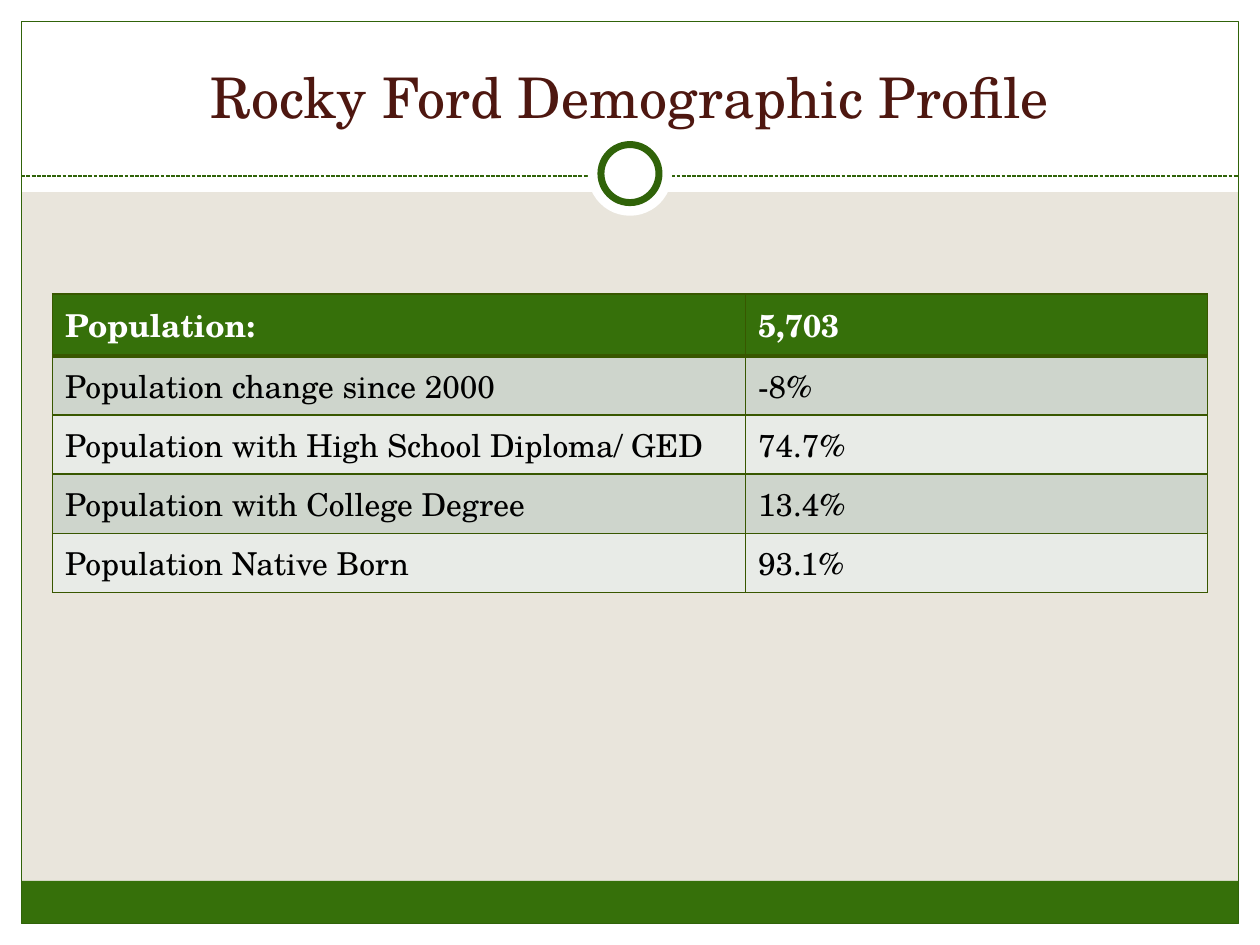
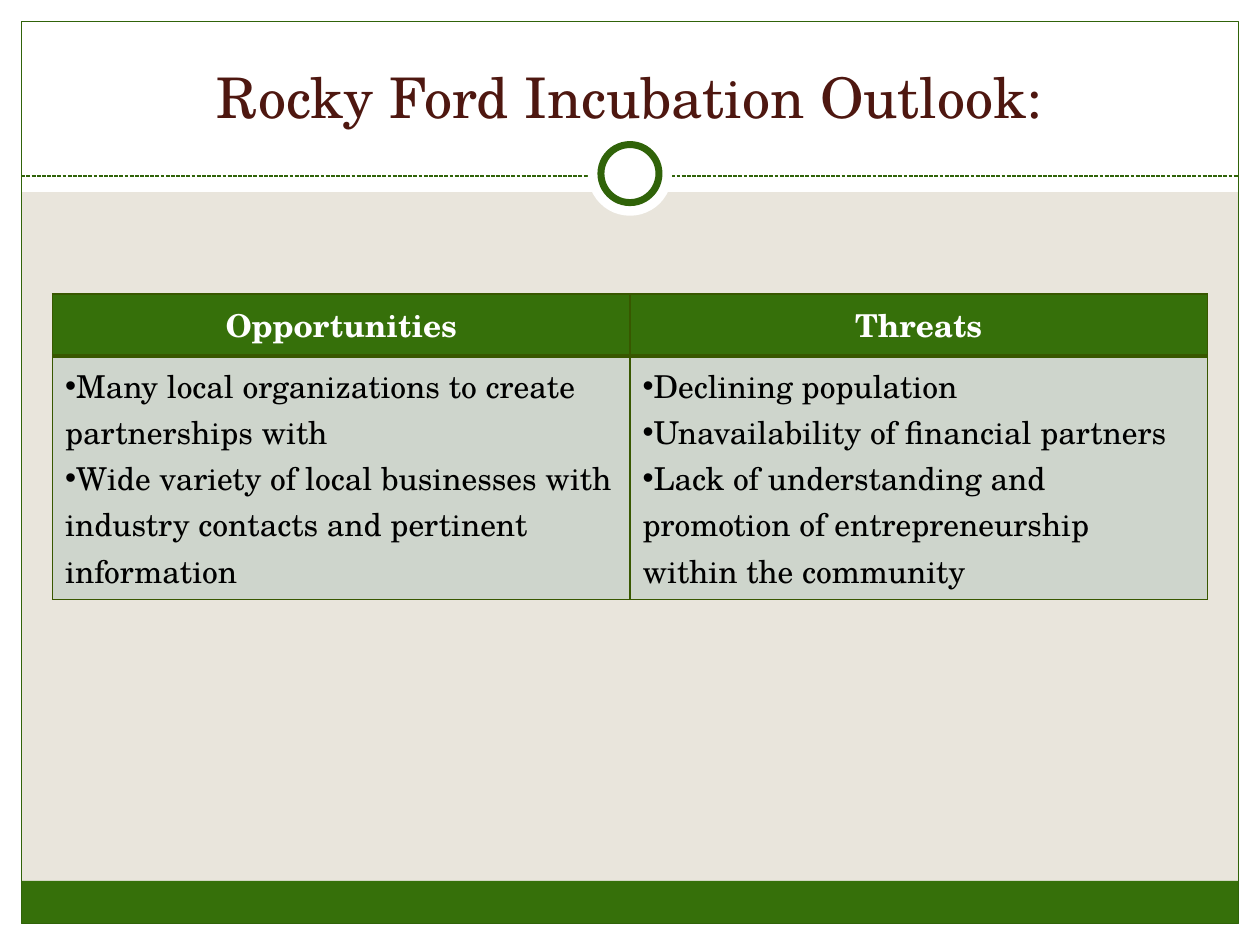
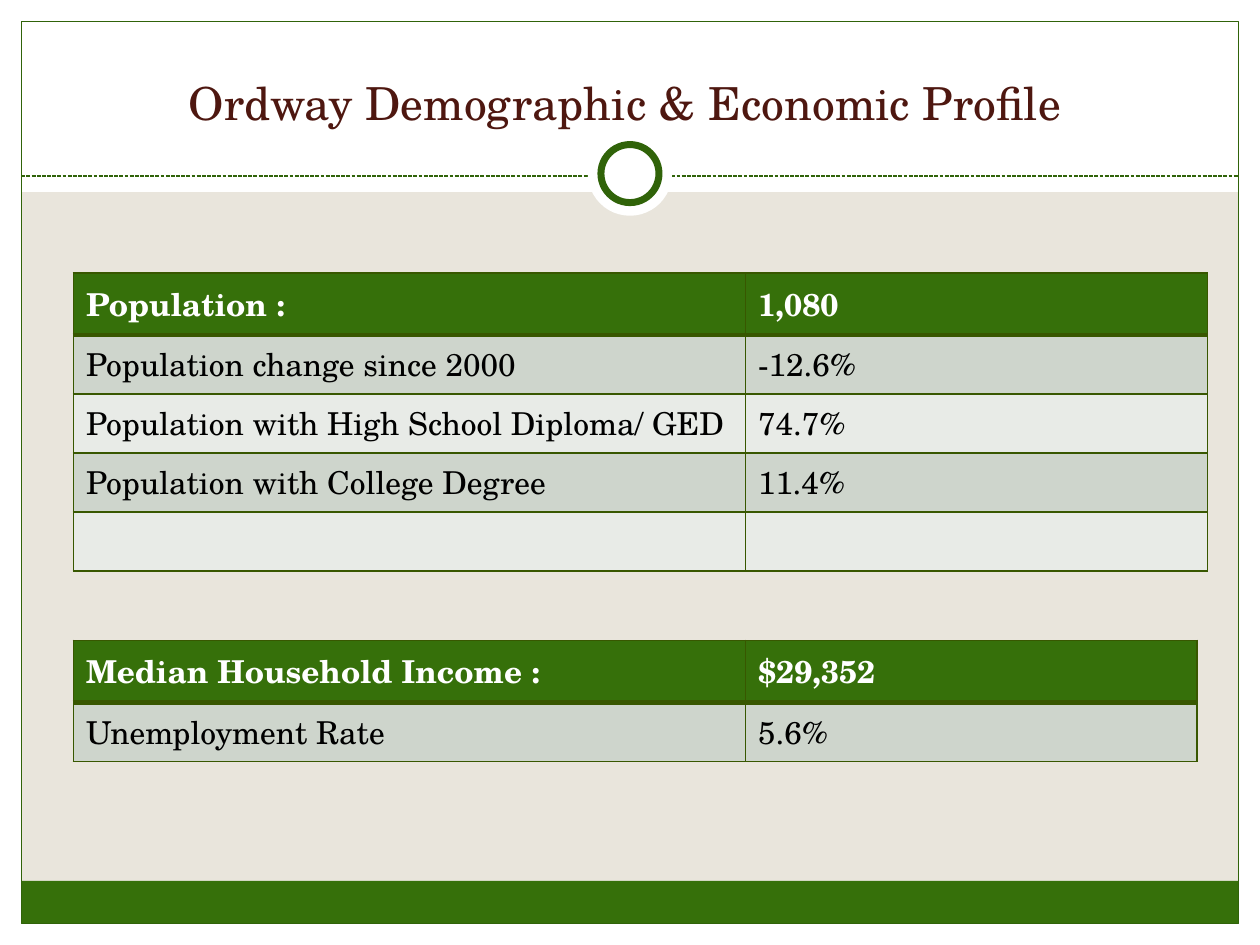
from lxml.etree import SubElement
from pptx import Presentation
from pptx.dml.color import RGBColor
from pptx.enum.dml import MSO_LINE
from pptx.enum.shapes import MSO_CONNECTOR, MSO_SHAPE
from pptx.enum.text import MSO_ANCHOR, PP_ALIGN
from pptx.oxml.ns import qn
from pptx.util import Cm, Pt

FONT = "TeX Gyre Schola"
SAND, WHITE, BLACK = "E9E5DC", "FFFFFF", "000000"
GREEN, FRAME_GREEN, GRID_GREEN = "36700A", "306309", "385700"
MAROON = "4E1710"
ROW_TINTS = ("CED5CC", "E8EBE7")

WIDTH, HEIGHT = 25.4, 19.05
MARGIN = 0.43
TITLE_BAND = 3.87
RULE_TOP = 3.55
RING_CENTRE = 3.5
FOOTER = 0.86
HEADER_ROW, BODY_ROW = 1.25, 1.19


def rgb(value):
    return RGBColor.from_string(value)


def box(left, top, width, height):
    return Cm(left), Cm(top), Cm(width), Cm(height)


def style_text(paragraph, size, color, bold=False):
    for run in paragraph.runs:
        run.font.name = FONT
        run.font.size = Pt(size)
        run.font.bold = bold
        run.font.color.rgb = rgb(color)


def add_block(slide, kind, bounds, fill=None, line=None, weight=0.75):
    block = slide.shapes.add_shape(kind, *box(*bounds))
    block.shadow.inherit = False
    if fill:
        block.fill.solid()
        block.fill.fore_color.rgb = rgb(fill)
    else:
        block.fill.background()
    if line:
        block.line.color.rgb = rgb(line)
        block.line.width = Pt(weight)
    else:
        block.line.fill.background()


def add_disc(slide, diameter, line=None):
    left = (WIDTH - diameter) / 2
    top = RING_CENTRE - diameter / 2
    add_block(slide, MSO_SHAPE.OVAL, (left, top, diameter, diameter), WHITE, line, 4)


def add_frame(slide):
    slide.background.fill.solid()
    slide.background.fill.fore_color.rgb = rgb(SAND)
    inner_width, inner_height = WIDTH - 2 * MARGIN, HEIGHT - 2 * MARGIN
    bands = [
        (0, HEIGHT - MARGIN, WIDTH, MARGIN, WHITE),
        (0, 0, WIDTH, TITLE_BAND, WHITE),
        (0, 0, MARGIN, HEIGHT, WHITE),
        (WIDTH - MARGIN, 0, MARGIN, HEIGHT, WHITE),
        (MARGIN, HEIGHT - MARGIN - FOOTER, inner_width, FOOTER, GREEN),
    ]
    for *bounds, fill in bands:
        add_block(slide, MSO_SHAPE.RECTANGLE, bounds, fill)
    add_block(slide, MSO_SHAPE.RECTANGLE,
              (MARGIN, MARGIN, inner_width, inner_height), line=FRAME_GREEN)
    rule = slide.shapes.add_connector(
        MSO_CONNECTOR.STRAIGHT, Cm(MARGIN), Cm(RULE_TOP),
        Cm(WIDTH - MARGIN), Cm(RULE_TOP))
    rule.line.color.rgb = rgb(FRAME_GREEN)
    rule.line.width = Pt(0.75)
    rule.line.dash_style = MSO_LINE.SQUARE_DOT
    SubElement(rule._element.spPr, qn("a:effectLst"))
    add_disc(slide, 1.7)
    add_disc(slide, 1.17, FRAME_GREEN)


def add_title(slide, title, size, left, width):
    heading = slide.shapes.add_textbox(*box(left, 0.62, width, 2.12)).text_frame
    heading.word_wrap = True
    heading.vertical_anchor = MSO_ANCHOR.BOTTOM
    heading.text = title
    heading.paragraphs[0].alignment = PP_ALIGN.CENTER
    style_text(heading.paragraphs[0], size, MAROON)


def set_borders(cell, top, bottom):
    properties = cell._tc.get_or_add_tcPr()
    for side, weight in (("L", 1), ("R", 1), ("T", top), ("B", bottom)):
        edge = SubElement(properties, qn(f"a:ln{side}"), w=str(Pt(weight)))
        fill = SubElement(edge, qn("a:solidFill"))
        SubElement(fill, qn("a:srgbClr"), val=GRID_GREEN)


def add_bullet(paragraph):
    properties = paragraph._p.get_or_add_pPr()
    properties.set("marL", "0")
    properties.set("indent", "0")
    SubElement(properties, qn("a:buFont"), typeface="Arial")
    SubElement(properties, qn("a:buChar"), char="•")


def keep_empty_height(paragraph):
    ending = SubElement(paragraph._p, qn("a:endParaRPr"), sz="1800")
    SubElement(ending, qn("a:latin"), typeface=FONT)


def fill_cell(cell, content, row, bulleted):
    header = row == 0
    set_borders(cell, 3 if row == 1 else 1, 3 if header else 1)
    cell.fill.solid()
    cell.fill.fore_color.rgb = rgb(GREEN if header else ROW_TINTS[(row - 1) % 2])
    cell.text_frame.text = content
    for paragraph in cell.text_frame.paragraphs:
        if bulleted and header:
            paragraph.alignment = PP_ALIGN.CENTER
        elif bulleted:
            add_bullet(paragraph)
        if not content:
            keep_empty_height(paragraph)
        style_text(paragraph, 18, WHITE if header else BLACK, header)


def add_grid(slide, left, top, columns, rows, body_row=BODY_ROW, bulleted=False):
    heights = [HEADER_ROW] + [body_row] * (len(rows) - 1)
    bounds = box(left, top, sum(columns), sum(heights))
    grid = slide.shapes.add_table(len(rows), len(columns), *bounds).table
    for column, width in zip(grid.columns, columns):
        column.width = Cm(width)
    for number, (entries, height) in enumerate(zip(rows, heights)):
        grid.rows[number].height = Cm(height)
        for position, content in enumerate(entries):
            fill_cell(grid.cell(number, position), content, number, bulleted)


def add_page(deck, title, size=32, left=0.85, width=23.7):
    slide = deck.slides.add_slide(deck.slide_layouts[6])
    add_frame(slide)
    add_title(slide, title, size, left, width)
    return slide


deck = Presentation()
deck.slide_width, deck.slide_height = Cm(WIDTH), Cm(HEIGHT)

rocky_ford = add_page(deck, "Rocky Ford Demographic Profile")
add_grid(rocky_ford, 1.06, 5.93, (13.97, 9.31), [
    ("Population:", "5,703"),
    ("Population change since 2000", "-8%"),
    ("Population with High School Diploma/ GED", "74.7%"),
    ("Population with College Degree", "13.4%"),
    ("Population Native Born", "93.1%"),
])

outlook = add_page(deck, "Rocky Ford Incubation Outlook:")
opportunities = [
    "Many local organizations to create partnerships with",
    "Wide variety of local businesses with industry contacts and pertinent information",
]
threats = [
    "Declining population",
    "Unavailability of financial partners",
    "Lack of understanding and promotion of entrepreneurship\vwithin the community",
]
add_grid(outlook, 1.06, 5.93, (11.64, 11.64), [
    ("Opportunities", "Threats"),
    ("\n".join(opportunities), "\n".join(threats)),
], body_row=4.91, bulleted=True)

ordway = add_page(deck, "Ordway Demographic & Economic Profile", 26, 1.06, 23.1)
add_grid(ordway, 1.48, 5.5, (13.55, 9.31), [
    ("Population :", "1,080"),
    ("Population change since 2000", "-12.6%"),
    ("Population with High School Diploma/ GED", "74.7%"),
    ("Population with College Degree", "11.4%"),
    ("", ""),
])
add_grid(ordway, 1.48, 12.91, (13.55, 9.1), [
    ("Median Household Income :", "$29,352"),
    ("Unemployment Rate", "5.6%"),
])

deck.save("out.pptx")
